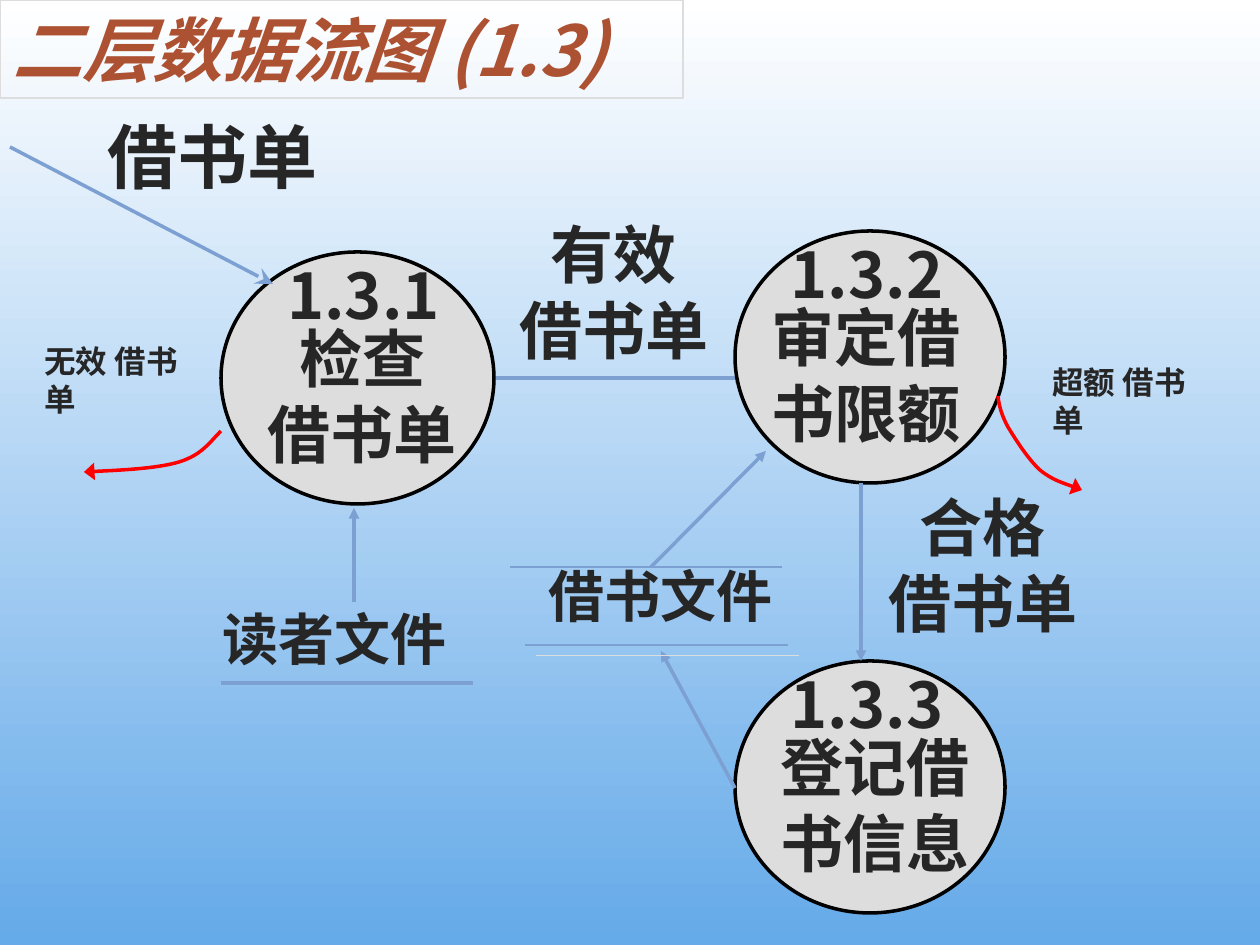
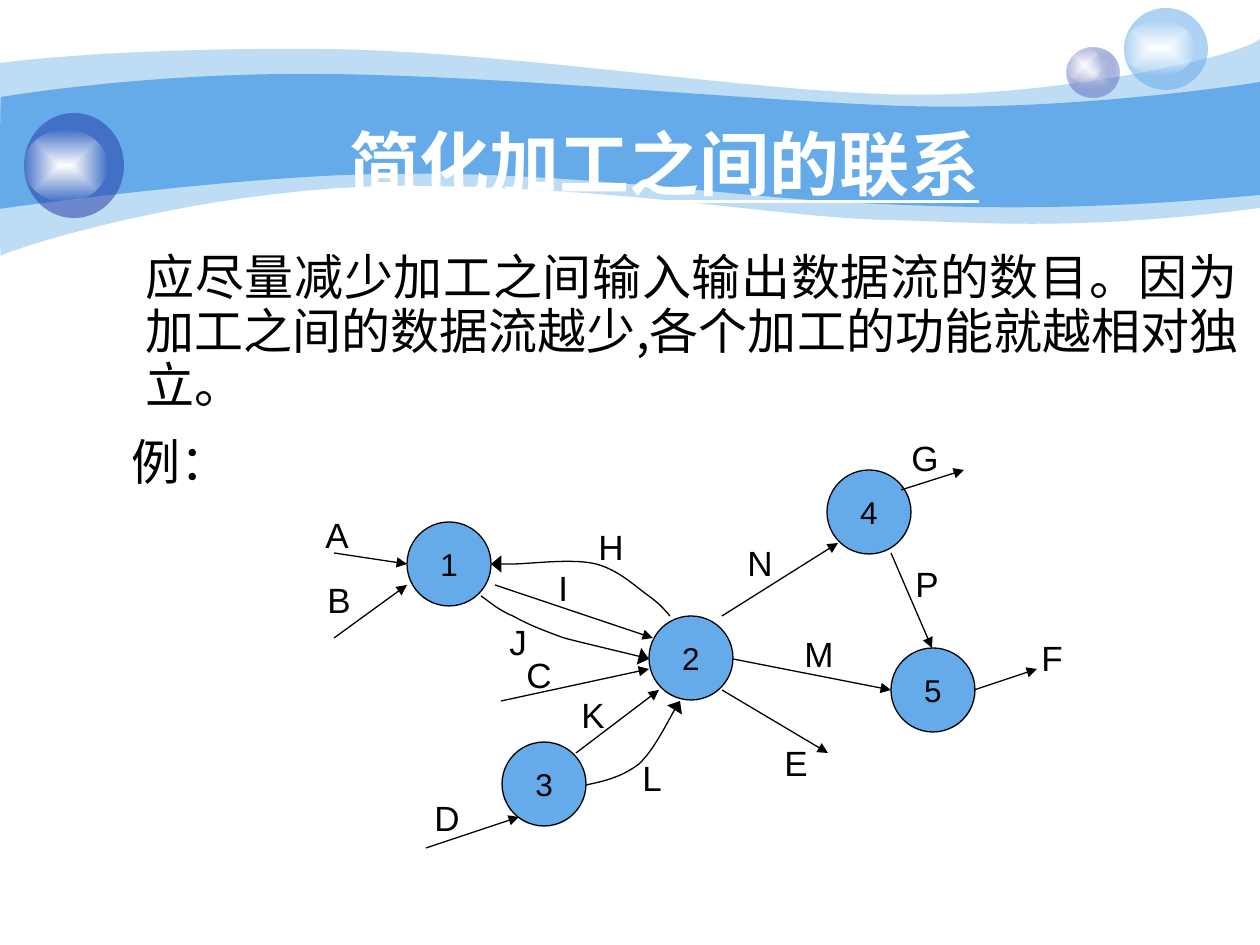
from collections import namedtuple
from dataclasses import dataclass

from lxml.etree import Element, SubElement
from pptx import Presentation
from pptx.dml.color import RGBColor
from pptx.enum.shapes import MSO_CONNECTOR as Link, MSO_SHAPE as Shape
from pptx.enum.text import MSO_ANCHOR as Anchor, MSO_AUTO_SIZE as AutoSize, PP_ALIGN as Align
from pptx.oxml.ns import qn
from pptx.util import Emu, Pt

SCALE = 914400 / 126
TITLE_ONLY = 5


@dataclass(frozen=True)
class Theme:
    """Colours, fonts, type sizes and line widths of the deck."""
    white: str = "FFFFFF"
    black: str = "000000"
    ink: str = "262626"
    rust: str = "AC5232"
    grey: str = "DDDDDD"
    sky: str = "65AAE9"
    navy: str = "233DA9"
    mist: str = "E1E2ED"
    flow: str = "7DA0D3"
    red: str = "FF0000"
    cjk: str = "Noto Sans CJK SC"
    latin: str = "Arial"
    title: int = 40
    process: int = 36
    store: int = 32
    body: int = 28
    letter: int = 20
    small: int = 18
    thick: float = 2
    thin: float = 1
    hair: float = 0.75


THEME = Theme()


class Box(namedtuple("Box", "left top width height")):
    """A rectangle in px."""

    def inner(self, left, top, width, height):
        """Return a box placed relative to this one."""
        return Box(self.left + left, self.top + top, width, height)

    def point(self, x, y):
        """Return a point relative to this box, in EMU."""
        return px(self.left + x), px(self.top + y)

    def emu(self):
        """Return the four lengths in EMU."""
        return [px(length) for length in self]


PAGE = Box(0, 0, 1260, 945)


def px(length):
    """Turn px into EMU."""
    return Emu(round(length * SCALE))


def rgb(colour):
    """Turn a hex string into a colour."""
    return RGBColor.from_string(colour)


def stroke(item, colour, width, head=None, head_width="med", head_length="med"):
    """Set line colour and width, with an optional arrowhead at the end."""
    item.line.color.rgb = rgb(colour)
    item.line.width = Pt(width)
    if head:
        SubElement(item.element.spPr.find(qn("a:ln")), qn("a:tailEnd"),
                   type=head, w=head_width, len=head_length)


def fill(shape, colour, alpha=100):
    """Fill a shape with one colour, alpha in percent."""
    shape.fill.solid()
    shape.fill.fore_color.rgb = rgb(colour)
    if alpha < 100:
        tint = shape.element.spPr.find(qn("a:solidFill"))[0]
        SubElement(tint, qn("a:alpha"), val=str(alpha * 1000))


def fill_radial(shape, inner, outer, alpha):
    """Fill a shape from its centre outwards, fading to alpha percent."""
    shape.fill.solid()
    solid = shape.element.spPr.find(qn("a:solidFill"))
    gradient = SubElement(shape.element.spPr, qn("a:gradFill"), rotWithShape="1")
    stops = SubElement(gradient, qn("a:gsLst"))
    for position, colour, opacity in ((0, inner, 100), (100, outer, alpha)):
        stop = SubElement(stops, qn("a:gs"), pos=str(position * 1000))
        tint = SubElement(stop, qn("a:srgbClr"), val=colour)
        SubElement(tint, qn("a:alpha"), val=str(opacity * 1000))
    focus = SubElement(gradient, qn("a:path"), path="shape")
    SubElement(focus, qn("a:fillToRect"), l="50000", t="50000", r="50000", b="50000")
    solid.getparent().replace(solid, gradient)


def add_span(para, text, size, colour, font=THEME.cjk, **marks):
    """Add one formatted run."""
    span = para.add_run()
    span.text = text
    span.font.size = Pt(size)
    span.font.name = font
    span.font.color.rgb = rgb(colour)
    for mark, value in marks.items():
        setattr(span.font, mark, value)
    SubElement(span.font._element, qn("a:ea"), typeface=font)


def add_frame(slide, box, top_inset=6):
    """Add an empty wrapping text box and return its frame."""
    frame = slide.shapes.add_textbox(*box.emu()).text_frame
    frame.word_wrap = True
    frame.margin_top = px(top_inset)
    return frame


def add_caption(slide, box, lines, size, align=Align.CENTER):
    """Add a bold caption, one paragraph a line."""
    frame = add_frame(slide, box)
    for index, line in enumerate(lines):
        para = frame.add_paragraph() if index else frame.paragraphs[0]
        para.alignment = align
        para.line_spacing = Pt(size * 1.2)
        add_span(para, line, size, THEME.ink, bold=True)


def add_preset(slide, kind, box):
    """Add a preset shape without shadow or outline."""
    shape = slide.shapes.add_shape(kind, *box.emu())
    shape.shadow.inherit = False
    shape.line.fill.background()
    return shape


def add_line(slide, box, ends, colour, width, *head):
    """Add a straight line between two points of a box."""
    x1, y1, x2, y2 = ends
    line = slide.shapes.add_connector(
        Link.STRAIGHT, *box.point(x1, y1), *box.point(x2, y2))
    stroke(line, colour, width, *head)
    SubElement(line.element.spPr, qn("a:effectLst"))
    return line


def add_curve(slide, box, start, segments, closed=False):
    """Add an outline of lines (2 numbers) and cubic curves (6 numbers)."""
    points = [box.point(*pair) for segment in segments
              for pair in zip(segment[::2], segment[1::2])]
    builder = slide.shapes.build_freeform(*box.point(*start), scale=1.0)
    builder.add_line_segments(points, close=closed)
    shape = builder.convert_to_shape()
    sides = iter(list(shape.element.iter(qn("a:lnTo"))))
    for segment in segments:
        group = [next(sides) for _ in segment[::2]]
        if len(group) == 3:
            cubic = Element(qn("a:cubicBezTo"))
            group[0].addprevious(cubic)
            for side in group:
                cubic.append(side[0])
                side.getparent().remove(side)
    shape.shadow.inherit = False
    shape.fill.background()
    shape.line.fill.background()
    return shape


def place_title(slide, box, text, colour, align, **marks):
    """Move, fill and raise the title placeholder."""
    title = slide.shapes.title
    title.left, title.top, title.width, title.height = box.emu()
    title.element.getparent().append(title.element)
    frame = title.text_frame
    frame.auto_size = AutoSize.NONE
    frame.word_wrap = True
    frame.vertical_anchor = Anchor.MIDDLE
    para = frame.paragraphs[0]
    para.alignment = align
    add_span(para, text, THEME.title, colour, bold=True, **marks)
    return title


def add_process(slide, box, number, lines, number_shift, name_shift):
    """Draw a numbered process bubble."""
    bubble = add_preset(slide, Shape.OVAL, box)
    fill(bubble, THEME.grey)
    stroke(bubble, THEME.black, THEME.thick)
    add_caption(slide, box.inner(number_shift, -1, box.width, 88), [number], THEME.process)
    name_left = (box.width - 220) // 2 + name_shift
    add_caption(slide, box.inner(name_left, 62, 220, 164), lines, THEME.process)


def draw_loan_flow(slide, box):
    """Draw the data flow of checking, approving and recording a loan."""
    add_line(slide, box, (494, 378, 746, 378), THEME.flow, THEME.thick, "triangle")
    for place, number, lines, number_shift, name_shift in (
            ((221, 252, 273, 252), "1.3.1", ["检查", "借书单"], 6, 5),
            ((735, 231, 270, 252), "1.3.2", ["审定借书限额"], -3, -4),
            ((735, 661, 270, 252), "1.3.3", ["登记借书信息"], -3, 5)):
        add_process(slide, box.inner(*place), number, lines, number_shift, name_shift)
    for ends, *head in (((10, 147, 273, 284), "stealth", "lg", "lg"),
                        ((861, 483, 861, 661), "triangle"),
                        ((354, 602, 354, 508), "triangle"),
                        ((651, 567, 766, 451), "triangle"),
                        ((735, 788, 661, 651), "triangle"),
                        ((221, 683, 473, 683),)):
        add_line(slide, box, ends, THEME.flow, THEME.thick, *head)
    add_line(slide, box, (510, 567, 782, 567), THEME.flow, THEME.thin)
    shaded = add_line(slide, box, (525, 645, 788, 645), THEME.flow, THEME.thin)
    shadow = SubElement(shaded.element.spPr.find(qn("a:effectLst")), qn("a:outerShdw"),
                        dist=str(Pt(8.5)), dir="2700000", algn="ctr", rotWithShape="0")
    SubElement(shadow, qn("a:srgbClr"), val=THEME.grey)
    for start, segments in (
            ((221, 431), [(210, 442, 202, 455, 179, 462), (156, 469, 100, 471, 84, 472)]),
            ((998, 396), [(999, 406, 1002, 416, 1008, 427), (1016, 440, 1028, 459, 1040, 470),
                          (1052, 480, 1075, 487, 1082, 490)])):
        curve = add_curve(slide, box, start, segments)
        stroke(curve, THEME.red, THEME.thick, "triangle", "lg")
    for place, lines, size, align in (
            ((95, 108, 273, 97), ["借书单"], THEME.title, Align.LEFT),
            ((493, 210, 242, 164), ["有效", "借书单"], THEME.process, Align.CENTER),
            ((862, 483, 242, 164), ["合格", "借书单"], THEME.process, Align.CENTER),
            ((32, 336, 168, 89), ["无效 借书单"], THEME.small, Align.LEFT),
            ((1040, 357, 168, 89), ["超额 借书单"], THEME.small, Align.LEFT),
            ((536, 556, 260, 81), ["借书文件"], THEME.store, Align.LEFT),
            ((210, 598, 273, 81), ["读者文件"], THEME.store, Align.LEFT)):
        add_caption(slide, box.inner(*place), lines, size, align)


def draw_wave_band(slide, box):
    """Draw the two waves and three glass balls across the top."""
    pale = add_curve(slide, box, (0, 63), [
        (30, 59, 135, 48, 311, 49), (486, 49, 724, 88, 881, 94),
        (1036, 101, 1235, 59, 1260, 39), (1260, 208),
        (1081, 231, 992, 223, 888, 220), (784, 218, 649, 190, 432, 186),
        (217, 181, 5, 251, 1, 256), (-1, 262, 0, 94, 0, 63)], closed=True)
    fill(pale, THEME.sky, 41)
    strong = add_curve(slide, box, (1, 97), [
        (3, 97, 139, 73, 312, 74), (486, 74, 750, 101, 905, 106),
        (1060, 111, 1230, 87, 1260, 82), (1260, 195),
        (1075, 212, 964, 208, 859, 203), (755, 199, 563, 171, 399, 174),
        (256, 173, -2, 209, -1, 209), (0, 209, 0, 97, 1, 97)], closed=True)
    fill(strong, THEME.sky)
    for place, shine, colour in (
            ((1067, 48, 53, 50), (0, 0, 35, 34), None),
            ((1124, 8, 84, 82), (0, 13, 71, 54), THEME.sky),
            ((24, 113, 100, 105), (0, 17, 83, 71), THEME.navy)):
        ball_box = box.inner(*place)
        ball = add_preset(slide, Shape.OVAL, ball_box)
        if colour:
            fill(ball, colour, 53)
        else:
            fill_radial(ball, THEME.mist, THEME.navy, 31)
        glow = add_preset(slide, Shape.OVAL, ball_box.inner(*shine))
        fill_radial(glow, THEME.white, THEME.white, 0)


def write_advice(slide, box):
    """Write the advice and the lead-in to the example."""
    frame = add_frame(slide, box, 12)
    for index, (text, margin) in enumerate((
            ("应尽量减少加工之间输入输出数据流的数目。因为加工之间的数据流越少,"
             "各个加工的功能就越相对独立。", 47), ("例：", 33))):
        para = frame.add_paragraph() if index else frame.paragraphs[0]
        para._p.get_or_add_pPr().set("marL", str(px(margin)))
        para.alignment = Align.JUSTIFY
        para.line_spacing = Pt(31)
        para.space_before = Pt(13 * index)
        add_span(para, text, THEME.body, THEME.black)


def draw_example(slide, box):
    """Draw the five linked processes and their lettered flows."""
    for number, left, top in (("1", 107, 102), ("2", 349, 196), ("3", 202, 322),
                              ("4", 527, 50), ("5", 591, 228)):
        node = add_preset(slide, Shape.FLOWCHART_CONNECTOR, box.inner(left, top, 84, 84))
        fill(node, THEME.sky)
        stroke(node, THEME.black, THEME.hair)
        frame = node.text_frame
        frame.word_wrap = False
        frame.vertical_anchor = Anchor.MIDDLE
        frame.paragraphs[0].alignment = Align.CENTER
        add_span(frame.paragraphs[0], number, THEME.small, THEME.black, THEME.latin)
    for letter, place, ends in (
            ("A", (13, 87), (34, 133, 107, 144)), ("B", (15, 152), (34, 218, 107, 165)),
            ("C", (214, 227), (201, 281, 349, 249)), ("D", (122, 370), (126, 428, 219, 397)),
            ("E", (472, 315), (422, 270, 528, 333)), ("F", (729, 210), (674, 270, 737, 249)),
            ("G", (599, 10), (601, 70, 664, 50)), ("I", (246, 140), (195, 165, 353, 218)),
            ("K", (269, 267), (276, 333, 359, 270)), ("M", (492, 206), (433, 239, 591, 270)),
            ("N", (435, 115), (422, 196, 538, 123)), ("P", (603, 136), (591, 133, 632, 228))):
        add_line(slide, box, ends, THEME.black, THEME.hair, "triangle")
        add_letter(slide, box.inner(*place, 53, 54), letter)
    for letter, place, start, segments in (
            ("H", (286, 99), (370, 196), [
                (365, 190, 361, 185, 349, 176), (336, 167, 319, 150, 296, 144),
                (273, 138, 229, 144, 213, 144), (195, 144, 195, 144, 191, 144)]),
            ("J", (197, 194), (181, 176), [
                (190, 182, 198, 190, 213, 196), (227, 204, 242, 210, 264, 218),
                (287, 224, 335, 235, 349, 239)]),
            ("L", (330, 330), (286, 365), [
                (305, 361, 322, 357, 339, 344), (354, 330, 373, 291, 380, 281)])):
        curve = add_curve(slide, box, start, segments)
        stroke(curve, THEME.black, THEME.hair, "triangle", "lg")
        add_letter(slide, box.inner(*place, 53, 54), letter)


def add_letter(slide, box, letter):
    """Write the letter of one flow."""
    para = add_frame(slide, box).paragraphs[0]
    add_span(para, letter, THEME.letter, THEME.black, THEME.latin)


def build_loan_slide(slide, page):
    """Build the second-level data flow slide."""
    backdrop = slide.background.fill
    backdrop.gradient()
    backdrop.gradient_angle = 270
    for stop, colour in zip(backdrop.gradient_stops, (THEME.white, THEME.sky)):
        stop.color.rgb = rgb(colour)
    title = place_title(slide, page.inner(0, 0, 683, 98), "二层数据流图 (1.3)",
                        THEME.rust, Align.LEFT, italic=True)
    stroke(title, THEME.grey, THEME.hair)
    draw_loan_flow(slide, page)


def build_links_slide(slide, page):
    """Build the slide on simplifying links between processes."""
    draw_wave_band(slide, page)
    place_title(slide, page.inner(167, 84, 995, 158), "简化加工之间的联系",
                THEME.white, Align.CENTER, underline=True)
    write_advice(slide, page.inner(86, 239, 1165, 275))
    draw_example(slide, page.inner(300, 420, 800, 450))


def main():
    """Build and save the deck."""
    deck = Presentation()
    deck.slide_width, deck.slide_height = px(PAGE.width), px(PAGE.height)
    for build in (build_loan_slide, build_links_slide):
        build(deck.slides.add_slide(deck.slide_layouts[TITLE_ONLY]), PAGE)
    deck.save("out.pptx")


if __name__ == "__main__":
    main()
